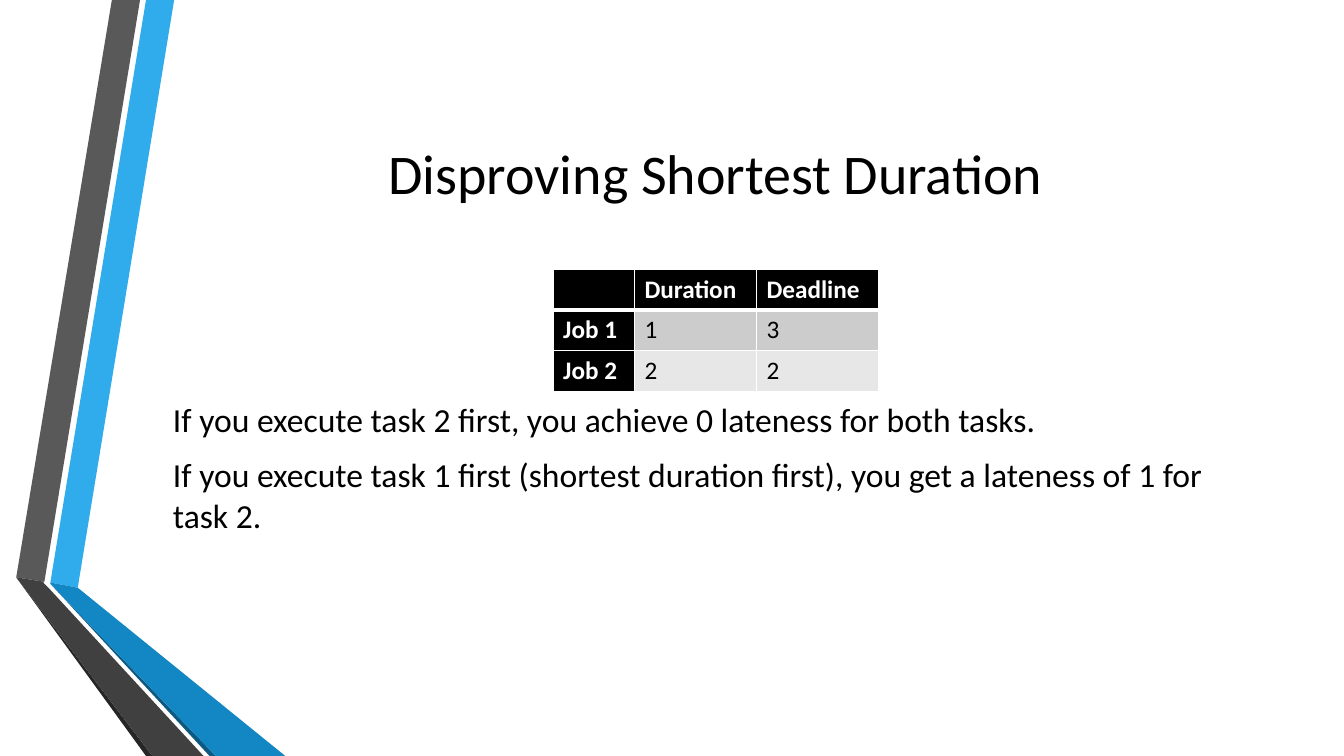
from lxml.etree import SubElement
from pptx import Presentation
from pptx.dml.color import RGBColor
from pptx.enum.text import MSO_ANCHOR, PP_ALIGN
from pptx.oxml import parse_xml
from pptx.oxml.ns import nsdecls, qn
from pptx.util import Cm, Pt

FONT = "Calibri"
BLACK = RGBColor(0x00, 0x00, 0x00)
WHITE = RGBColor(0xFF, 0xFF, 0xFF)
SKY = RGBColor(0x30, 0xAC, 0xEC)
BLUE = RGBColor(0x12, 0x87, 0xC3)
NAVY = RGBColor(0x0C, 0x5A, 0x82)
GREY = RGBColor(0x59, 0x59, 0x59)
DARK_GREY = RGBColor(0x40, 0x40, 0x40)
CHARCOAL = RGBColor(0x26, 0x26, 0x26)
BAND_FILLS = [RGBColor(0xCC, 0xCC, 0xCC), RGBColor(0xE7, 0xE7, 0xE7)]

SLIDE_W, SLIDE_H = 33.87, 19.05
JOBS = [
    ["", "Duration", "Deadline"],
    ["Job 1", "1", "3"],
    ["Job 2", "2", "2"],
]
CONCLUSIONS = [
    "If you execute task 2 first, you achieve 0 lateness for both tasks.",
    "If you execute task 1 first (shortest duration first), "
    "you get a lateness of 1 for task 2.",
]


def format_runs(p, size, color, bold=False):
    for r in p.runs:
        r.font.name = FONT
        r.font.size = Pt(size)
        r.font.bold = bold
        r.font.color.rgb = color


def add_ribbons(s, left, top, height):
    """Draw the two folded ribbons, which leave the box at its top and bottom."""
    bands = [
        (SKY, [(0.86, 14.68), (1.55, 14.81), (3.98, 0), (3.27, 0)]),
        (GREY, [(3.12, 0), (2.41, 0), (0, 14.55), (0.71, 14.66)]),
        (CHARCOAL, [(0, 14.55), (3.27, height), (3.43, height)]),
        (NAVY, [(0.86, 14.71), (4.87, height), (5.03, height)]),
        (BLUE, [(0.86, 14.71), (5.03, height), (6.78, height),
                (1.55, 14.81), (0.86, 14.68)]),
        (DARK_GREY, [(4.72, height), (0.81, 14.81), (0.68, 14.68),
                     (0.71, 14.66), (0, 14.55), (3.43, height)]),
    ]
    for color, points in bands:
        corners = [(Cm(left + x), Cm(top + y)) for x, y in points]
        builder = s.shapes.build_freeform(*corners[0])
        builder.add_line_segments(corners[1:], close=True)
        sp = builder.convert_to_shape()
        sp.shadow.inherit = False
        sp.fill.solid()
        sp.fill.fore_color.rgb = color
        sp.line.fill.background()


def add_text(s, left, top, width, height, lines, size, align=PP_ALIGN.LEFT):
    """Add vertically centred paragraphs, spaced apart when there are several."""
    sp = s.shapes.add_textbox(Cm(left), Cm(top), Cm(width), Cm(height))
    tf = sp.text_frame
    tf.word_wrap = True
    tf.vertical_anchor = MSO_ANCHOR.MIDDLE
    tf.text = "\n".join(lines)
    for i, p in enumerate(tf.paragraphs):
        p.alignment = align
        if len(lines) > 1:
            p.space_before = Pt(4.8 if i else 0)
            p.space_after = Pt(6)
        format_runs(p, size, BLACK)


def set_borders(cell, row):
    """Rule the cell in white, with a thick line below the header row."""
    widths = {"L": 1, "R": 1, "T": 3 if row == 1 else 1, "B": 3 if row == 0 else 1}
    tcPr = cell._tc.get_or_add_tcPr()
    for i, (side, width) in enumerate(widths.items()):
        ln = parse_xml(f'<a:ln{side} {nsdecls("a")} w="{Pt(width)}"/>')
        fill = SubElement(ln, qn("a:solidFill"))
        SubElement(fill, qn("a:srgbClr"), val=str(WHITE))
        tcPr.insert(i, ln)


def add_job_table(s, left, top, width, height):
    rows, cols = len(JOBS), len(JOBS[0])
    table = s.shapes.add_table(
        rows, cols, Cm(left), Cm(top), Cm(width), Cm(height)).table
    table.first_col = True
    for column, share in zip(table.columns, (0.25, 0.375, 0.375)):
        column.width = Cm(width * share)
    for row, values in enumerate(JOBS):
        table.rows[row].height = Cm(height / rows)
        for col, value in enumerate(values):
            heading = row == 0 or col == 0
            cell = table.cell(row, col)
            cell.fill.solid()
            cell.fill.fore_color.rgb = BLACK if heading else BAND_FILLS[row - 1]
            cell.text_frame.text = value
            p = cell.text_frame.paragraphs[0]
            format_runs(p, 18, WHITE if heading else BLACK, heading)
            set_borders(cell, row)


def main():
    prs = Presentation()
    prs.slide_width, prs.slide_height = Cm(SLIDE_W), Cm(SLIDE_H)
    s = prs.slides.add_slide(prs.slide_layouts[6])
    s.background.fill.solid()
    s.background.fill.fore_color.rgb = WHITE
    add_ribbons(s, 0.41, 0, SLIDE_H)
    add_text(s, 4.11, 1.9, 27.84, 4.88, ["Disproving Shortest Duration"], 40,
             PP_ALIGN.CENTER)
    add_job_table(s, 13.94, 6.78, 8.2, 3.09)
    add_text(s, 4.11, 7.42, 27.84, 8.69, CONCLUSIONS, 24)
    prs.save("out.pptx")


if __name__ == "__main__":
    main()
